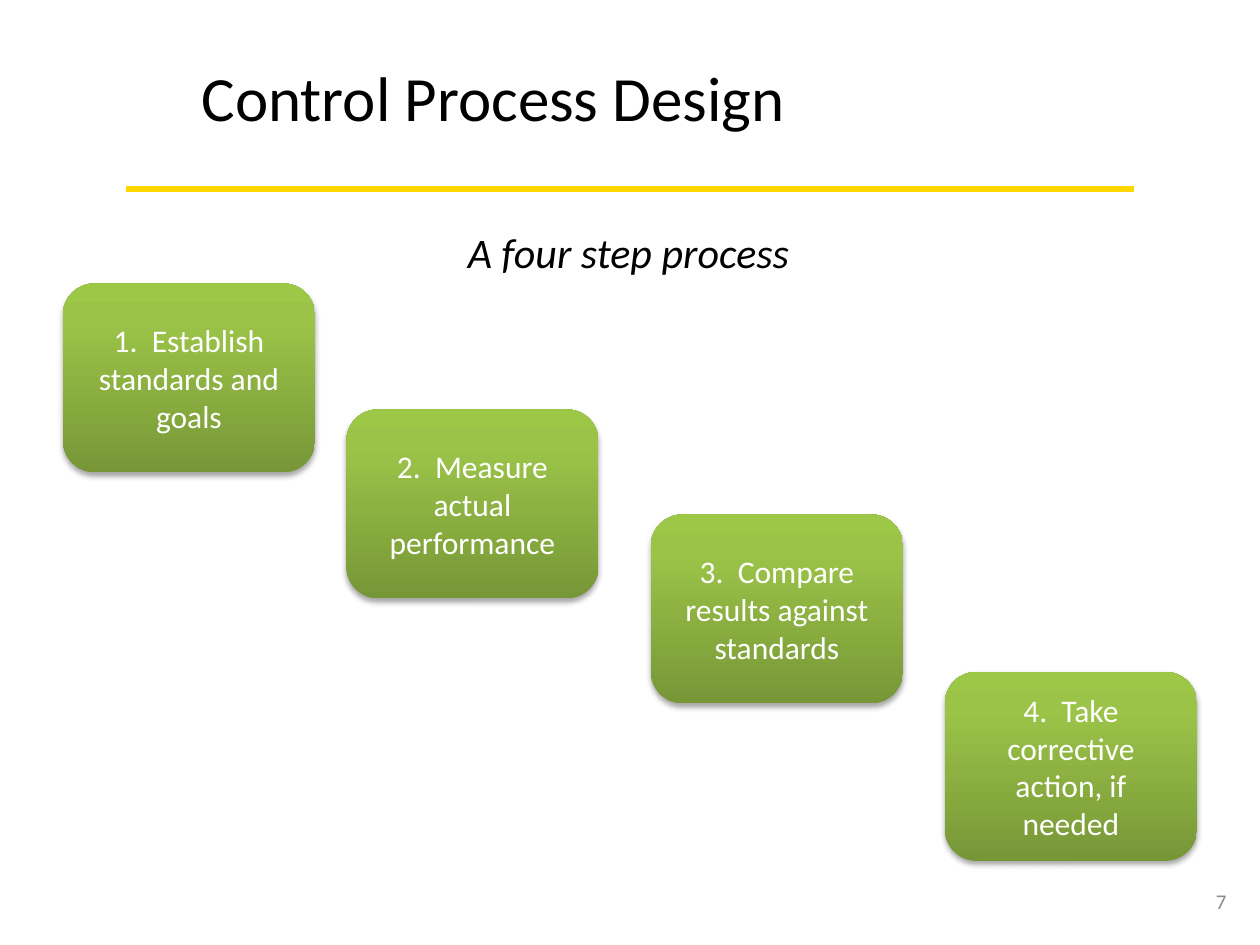
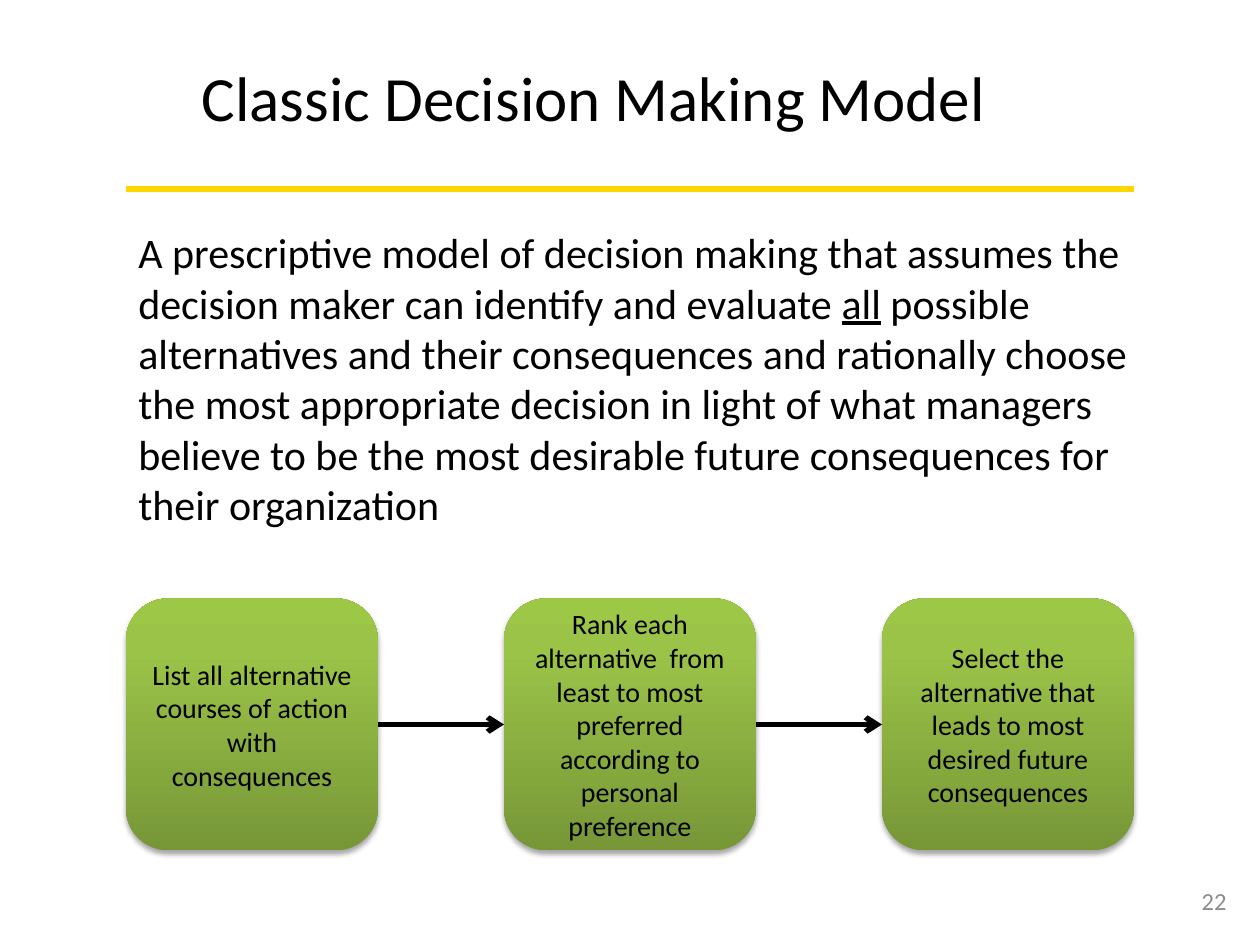
"""Build two management slides: a four step control process and a decision model."""
from copy import deepcopy

from lxml import etree
from pptx import Presentation
from pptx.dml.color import RGBColor
from pptx.enum.shapes import MSO_CONNECTOR, MSO_SHAPE
from pptx.enum.text import MSO_ANCHOR, MSO_AUTO_SIZE, PP_ALIGN
from pptx.oxml.ns import qn
from pptx.util import Pt

PX = 7620
FONT = "Calibri"
BLACK = RGBColor(0x00, 0x00, 0x00)
WHITE = RGBColor(0xFF, 0xFF, 0xFF)
GREY = RGBColor(0x8C, 0x8C, 0x8C)
GOLD = RGBColor(0xFF, 0xD7, 0x00)
GREEN_STOPS = [
    (0, RGBColor(0x77, 0x97, 0x37)),
    (0.8, RGBColor(0x9B, 0xC3, 0x48)),
    (1, RGBColor(0x9D, 0xC7, 0x46)),
]
LEFT, CENTER, RIGHT = PP_ALIGN.LEFT, PP_ALIGN.CENTER, PP_ALIGN.RIGHT
TOP, MIDDLE = MSO_ANCHOR.TOP, MSO_ANCHOR.MIDDLE
GROW = MSO_AUTO_SIZE.SHAPE_TO_FIT_TEXT
ROUNDED, STRAIGHT = MSO_SHAPE.ROUNDED_RECTANGLE, MSO_CONNECTOR.STRAIGHT
RIGHT_SITE, LEFT_SITE = 3, 1


def write(shape, pieces, size, color=BLACK, align=LEFT, anchor=TOP, wrap=True):
    """Fill a shape with one paragraph of runs in a single style."""
    frame = shape.text_frame
    frame.word_wrap = wrap
    frame.vertical_anchor = anchor
    para = frame.paragraphs[0]
    para.alignment = align
    para.font.name = FONT
    para.font.size = Pt(size)
    para.font.color.rgb = color
    for piece in pieces:
        para.add_run().text = piece
    return para


def add_green_box(page, left, top, height, text, size, color):
    """Add a rounded box with a green gradient and a soft shadow."""
    box = page.shapes.add_shape(ROUNDED, left * PX, top * PX, 240 * PX, height * PX)
    box.line.fill.background()
    box.fill.gradient()
    box.fill.gradient_angle = 90
    stop_list = box.element.spPr.find(".//" + qn("a:gsLst"))
    stop_list.append(deepcopy(stop_list[-1]))
    for stop, (position, shade) in zip(box.fill.gradient_stops, GREEN_STOPS):
        stop.position = position
        stop.color.rgb = shade
    box.shadow.inherit = False
    effects = box.element.spPr.find(qn("a:effectLst"))
    shadow = etree.SubElement(effects, qn("a:outerShdw"), blurRad="40000",
                              dist="23000", dir="5400000", rotWithShape="0")
    tint = etree.SubElement(shadow, qn("a:srgbClr"), val="000000")
    etree.SubElement(tint, qn("a:alpha"), val="35000")
    write(box, [text], size, color, CENTER, MIDDLE)
    return box


deck = Presentation()
deck.slide_width, deck.slide_height = 1200 * PX, 900 * PX
layout = deck.slide_layouts[5]

headings = [
    ("Control Process Design", 586, "7", 12),
    ("Classic Decision Making Model", 778, "22", 14),
]
for heading, width, number, number_size in headings:
    page = deck.slides.add_slide(layout)
    title = page.shapes.title
    title.left, title.top, title.width, title.height = 180 * PX, 50 * PX, width * PX, 85 * PX
    write(title, [heading], 36, wrap=False)
    title.text_frame.auto_size = GROW
    number_box = page.shapes.add_textbox(1130 * PX, 834 * PX, 50 * PX, 48 * PX)
    write(number_box, [number], number_size, GREY, RIGHT, MIDDLE)
control_page, decision_page = deck.slides

rule = control_page.shapes.add_connector(STRAIGHT, 120 * PX, 180 * PX, 1080 * PX, 180 * PX)
rule.line.color.rgb = GOLD
rule.line.width = Pt(4)
etree.SubElement(rule.element.spPr, qn("a:effectLst"))
layout.shapes.element.append(rule.element)

subtitle = control_page.shapes.add_textbox(430 * PX, 210 * PX, 337 * PX, 60 * PX)
write(subtitle, ["A four step process"], 24, align=CENTER, wrap=False).font.italic = True
subtitle.text_frame.auto_size = GROW

steps = [
    (60, 270, "1.  Establish standards and goals"),
    (330, 390, "2.  Measure actual performance"),
    (620, 490, "3.  Compare results against standards"),
    (900, 640, "4.  Take corrective action, if needed"),
]
for left, top, step in steps:
    add_green_box(control_page, left, top, 180, step, 18, WHITE)

definition = decision_page.shapes.add_textbox(120 * PX, 210 * PX, 1020 * PX, 352 * PX)
para = write(definition, [
    "A prescriptive model of decision making that assumes the decision maker "
    "can identify and evaluate ",
    "all",
    " possible alternatives and their consequences and rationally choose the most "
    "appropriate decision in light of what managers believe to be the most "
    "desirable future consequences for their organization",
], 24)
para.runs[1].font.underline = True
definition.text_frame.auto_size = GROW

stages = [
    "List all alternative courses of action with consequences",
    "Rank each alternative  from least to most preferred according to personal preference",
    "Select the alternative that leads to most desired future consequences",
]
stage_boxes = [
    add_green_box(decision_page, 120 + 360 * column, 570, 240, stage, 16, BLACK)
    for column, stage in enumerate(stages)
]
for source, target in zip(stage_boxes, stage_boxes[1:]):
    arrow = decision_page.shapes.add_connector(STRAIGHT, 0, 0, 0, 0)
    arrow.begin_connect(source, RIGHT_SITE)
    arrow.end_connect(target, LEFT_SITE)
    arrow.line.color.rgb = BLACK
    arrow.line.width = Pt(3)
    etree.SubElement(arrow.line._get_or_add_ln(), qn("a:tailEnd"), type="arrow")
    etree.SubElement(arrow.element.spPr, qn("a:effectLst"))

deck.save("out.pptx")
